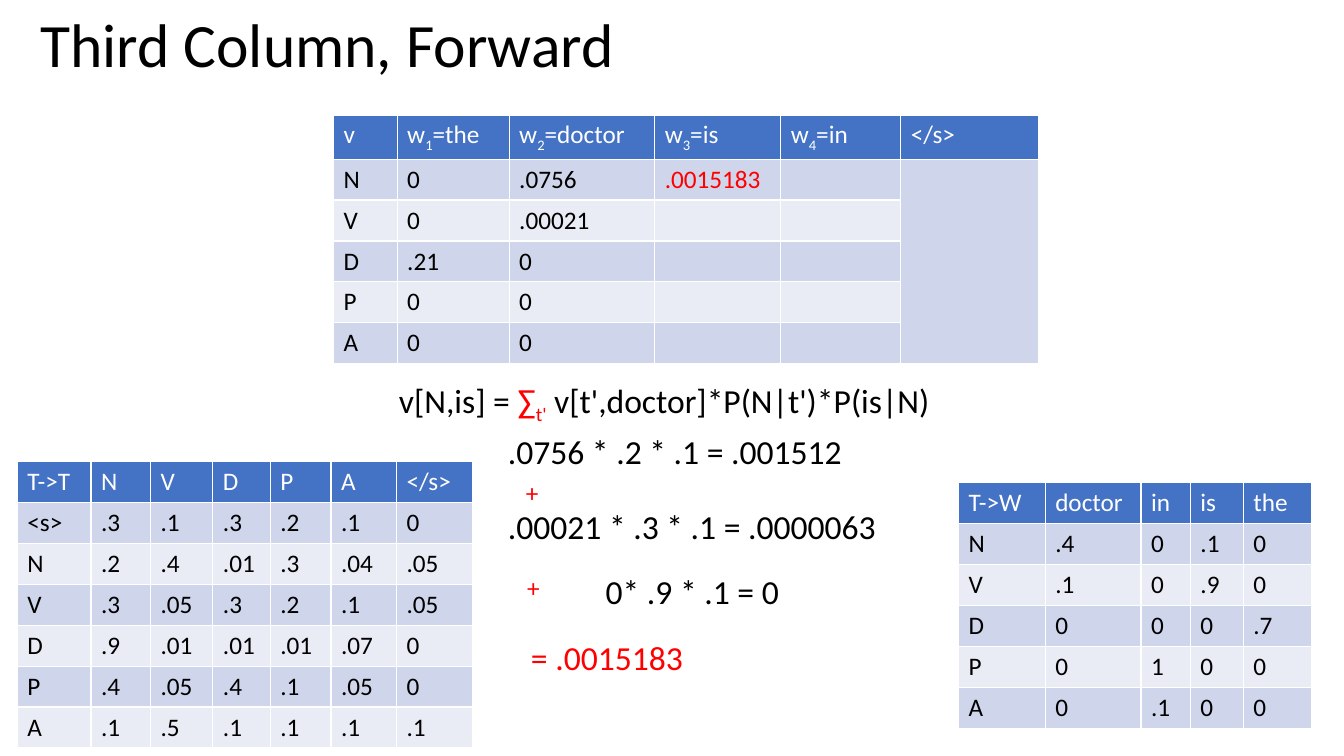
from pptx import Presentation
from pptx.dml.color import RGBColor
from pptx.enum.text import MSO_ANCHOR, MSO_AUTO_SIZE, PP_ALIGN
from pptx.util import Pt

MIDDLE = MSO_ANCHOR.MIDDLE
LEFT = PP_ALIGN.LEFT
FIT_SHAPE = MSO_AUTO_SIZE.SHAPE_TO_FIT_TEXT
NO_FIT = MSO_AUTO_SIZE.NONE

BLACK = RGBColor(0x00, 0x00, 0x00)
WHITE = RGBColor(0xFF, 0xFF, 0xFF)
RED = RGBColor(0xFF, 0x00, 0x00)
HEADER_BLUE = RGBColor(0x44, 0x72, 0xC4)
BANDS = (RGBColor(0xCF, 0xD5, 0xEA), RGBColor(0xE9, 0xEB, 0xF5))

FONT = "Calibri"
TITLE_SIZE, FORMULA_SIZE, CELL_SIZE = 44, 24, 18
ROW_HEIGHT = 29.2
TITLE_ONLY = 5

FORWARD_ROWS = [
    ["v", "w_1_=the", "w_2_=doctor", "w_3_=is", "w_4_=in", "</s>"],
    ["N", "0", ".0756", ".0015183", "", ""],
    ["V", "0", ".00021", "", "", ""],
    ["D", ".21", "0", "", "", ""],
    ["P", "0", "0", "", "", ""],
    ["A", "0", "0", "", "", ""],
]
TRANSITION_ROWS = [
    ["T->T", "N", "V", "D", "P", "A", "</s>"],
    ["<s>", ".3", ".1", ".3", ".2", ".1", "0"],
    ["N", ".2", ".4", ".01", ".3", ".04", ".05"],
    ["V", ".3", ".05", ".3", ".2", ".1", ".05"],
    ["D", ".9", ".01", ".01", ".01", ".07", "0"],
    ["P", ".4", ".05", ".4", ".1", ".05", "0"],
    ["A", ".1", ".5", ".1", ".1", ".1", ".1"],
]
EMISSION_ROWS = [
    ["T->W", "doctor", "in", "is", "the"],
    ["N", ".4", "0", ".1", "0"],
    ["V", ".1", "0", ".9", "0"],
    ["D", "0", "0", "0", ".7"],
    ["P", "0", "1", "0", "0"],
    ["A", "0", ".1", "0", "0"],
]


class SlideBuilder:
    def __init__(self, slide):
        self.slide = slide

    def add_runs(self, paragraph, pieces, size):
        """Add (text, colour) pieces; a part between underscores is a subscript."""
        for text, color in pieces:
            for index, part in enumerate(text.split("_")):
                if not part:
                    continue
                run = paragraph.add_run()
                run.text = part
                run.font.name = FONT
                run.font.size = Pt(size)
                run.font.bold = False
                run.font.color.rgb = color
                if index % 2:
                    run._r.get_or_add_rPr().set("baseline", "-25000")

    def title(self, text, left, top, width, height):
        shape = self.slide.shapes.title
        shape.left, shape.top = Pt(left), Pt(top)
        shape.width, shape.height = Pt(width), Pt(height)
        frame = shape.text_frame
        frame.auto_size = NO_FIT
        frame.vertical_anchor = MIDDLE
        paragraph = frame.paragraphs[0]
        paragraph.alignment = LEFT
        paragraph.line_spacing = 0.9
        self.add_runs(paragraph, [(text, BLACK)], TITLE_SIZE)

    def text(self, pieces, left, top, width, height=36, size=FORMULA_SIZE, wrap=False):
        box = self.slide.shapes.add_textbox(Pt(left), Pt(top), Pt(width), Pt(height))
        frame = box.text_frame
        frame.word_wrap = wrap
        frame.auto_size = FIT_SHAPE
        self.add_runs(frame.paragraphs[0], pieces, size)

    def table(self, rows, left, top, widths, highlight=None):
        """Add a banded table; the text of the highlight cell is red."""
        frame = self.slide.shapes.add_table(
            len(rows), len(widths), Pt(left), Pt(top),
            Pt(sum(widths)), Pt(ROW_HEIGHT * len(rows)))
        table = frame.table
        for column, width in zip(table.columns, widths):
            column.width = Pt(width)
        for row_index, values in enumerate(rows):
            table.rows[row_index].height = Pt(ROW_HEIGHT)
            for column_index, value in enumerate(values):
                cell = table.cell(row_index, column_index)
                cell.fill.solid()
                if row_index == 0:
                    fill, color = HEADER_BLUE, WHITE
                else:
                    fill, color = BANDS[(row_index - 1) % 2], BLACK
                if (row_index, column_index) == highlight:
                    color = RED
                cell.fill.fore_color.rgb = fill
                self.add_runs(cell.text_frame.paragraphs[0], [(value, color)], CELL_SIZE)
        return table


def main():
    presentation = Presentation()
    presentation.slide_width, presentation.slide_height = Pt(960), Pt(540)
    slide = presentation.slides.add_slide(presentation.slide_layouts[TITLE_ONLY])
    builder = SlideBuilder(slide)

    builder.table(TRANSITION_ROWS, 12.4, 329.8, [52.6, 42.5, 44.6, 41, 43.4, 46.8, 54.7])
    forward = builder.table(FORWARD_ROWS, 238.3, 82.1,
                            [45.4, 80, 104, 90, 85.7, 98.6], highlight=(1, 3))
    forward.cell(1, 5).merge(forward.cell(5, 5))
    builder.table(EMISSION_ROWS, 684.7, 344.9, [61.9, 68.4, 35.3, 37.8, 49])

    builder.title("Third Column, Forward", 21.6, -18, 828, 104.4)
    builder.text([("v[N,is] = ", BLACK), ("∑_t'_", RED),
                  (" v[t',doctor]*P(N|t')*P(is|N)", BLACK)], 277.9, 267.8, 394.6)
    builder.text([(".0756 * .2 * .1 = .001512", BLACK)], 355.7, 304.6, 254.9)
    builder.text([(".00021 * .3 * .1 = .0000063", BLACK)], 355.7, 357.8, 279.4)
    builder.text([("0* .9 * .1 = 0", BLACK)], 425.5, 403.9, 139)
    for left, top in ((368.6, 337.7), (369.4, 405.4)):
        builder.text([("+", RED)], left, top, 44.6, 28.8, CELL_SIZE, wrap=True)
    builder.text([("= .0015183", RED)], 372.2, 451.4, 123.8)

    presentation.save("out.pptx")


if __name__ == "__main__":
    main()
